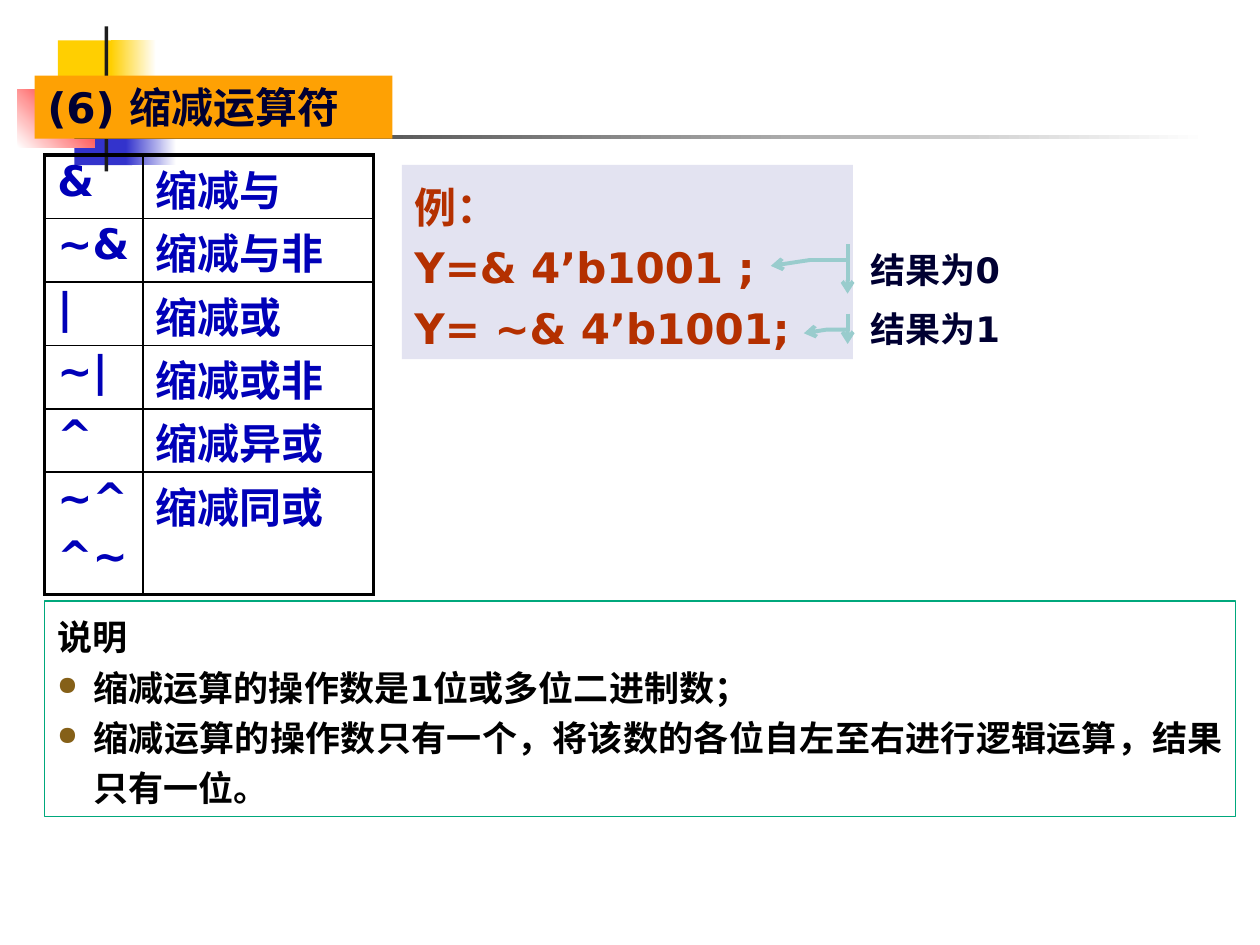
"""Build the slide on reduction operators."""
from lxml import etree
from pptx import Presentation
from pptx.dml.color import RGBColor
from pptx.enum.shapes import MSO_SHAPE
from pptx.enum.text import MSO_ANCHOR, MSO_AUTO_SIZE, PP_ALIGN
from pptx.oxml.ns import qn
from pptx.util import Inches, Pt

RECT, CALLOUT = MSO_SHAPE.RECTANGLE, MSO_SHAPE.LINE_CALLOUT_2_ACCENT_BAR
TOP, MIDDLE = MSO_ANCHOR.TOP, MSO_ANCHOR.MIDDLE
LEFT, JUSTIFY = PP_ALIGN.LEFT, PP_ALIGN.JUSTIFY
UNIT = Inches(0.1)
FACE = "DejaVu Sans"
DARK, BLUE, RUST, BLACK = "000032", "0000B8", "B43000", "000000"


def paint(color, text):
    """Set a colour object from a hex string."""
    color.rgb = RGBColor.from_string(text)


def place(kind, spot, fill=None, line=None, width=0.75):
    """Add a shape at a spot given in columns and rows of the grid."""
    shape = page.shapes.add_shape(kind, *[round(n * UNIT) for n in spot])
    shape.shadow.inherit = False
    shape.fill.background()
    shape.line.fill.background()
    if fill:
        shape.fill.solid()
        paint(shape.fill.fore_color, fill)
    if line:
        paint(shape.line.color, line)
        shape.line.width = Pt(width)
    return shape


deck = Presentation()
deck.slide_width, deck.slide_height = 100 * UNIT, 75 * UNIT
page = deck.slides.add_slide(deck.slide_layouts[5])

decor = [
    ((4.6, 3.2, 4.8, 5.2), ["FFCF01"], 0),
    ((8.8, 3.2, 3.6, 5.2), ["FFCF01", "FFFFFF"], 0),
    ((5.9, 7.9, 4.6, 5.2), ["3333CC"], 0),
    ((10, 7.9, 4, 5.2), ["3333CC", "FFFFFF"], 0),
    ((1.4, 7.1, 6.1, 4.6), ["FFFFFF", "FF0000"], 45),
    ((8.3, 2.1, 0.3, 11.5), ["1C1C1C"], 0),
    ((5.9, 10.7, 90, 0.3), ["1C1C1C", "FFFFFF"], 0),
]
for spot, tones, angle in decor:
    shape = place(RECT, spot, tones[0])
    if len(tones) > 1:
        shape.fill.gradient()
        shape.fill.gradient_angle = angle
        for stop, tone in zip(shape.fill.gradient_stops, tones):
            paint(stop.color, tone)

title = page.shapes.title
title.left, title.top, title.width, title.height = [
    round(n * UNIT) for n in (2.75, 6, 28.4, 5)]
title.fill.solid()
paint(title.fill.fore_color, "FEA104")
page.shapes.element.append(title.element)
texts = [(title.text_frame, ["(6) 缩减运算符"], 24, DARK, 1, 0, LEFT, MIDDLE)]

rows = [
    (["&"], "缩减与"), (["~&"], "缩减与非"), (["|"], "缩减或"),
    (["~|"], "缩减或非"), (["^"], "缩减异或"), (["~^", "^~"], "缩减同或"),
]
last = len(rows) - 1
spot = [round(n * UNIT) for n in (3.55, 12.3, 26.1, 34.7)]
table = page.shapes.add_table(len(rows), 2, *spot).table
table.first_row = table.horz_banding = False
table.columns[0].width = round(7.8 * UNIT)
table.columns[1].width = round(18.3 * UNIT)
for i, (signs, name) in enumerate(rows):
    table.rows[i].height = round((9.7 if i == last else 5) * UNIT)
    for j, lines in enumerate([signs, [name]]):
        cell = table.cell(i, j)
        cell.margin_top, cell.margin_bottom = Inches(0.02), 0
        props = cell._tc.get_or_add_tcPr()
        edges = {"lnL": j == 0, "lnR": j == 1, "lnT": i == 0, "lnB": i == last}
        for tag, outer in edges.items():
            edge = etree.SubElement(props, qn("a:" + tag), w=str(Pt(2.25 if outer else 1)))
            solid = etree.SubElement(edge, qn("a:solidFill"))
            etree.SubElement(solid, qn("a:srgbClr"), val=BLACK)
        cell.fill.background()
        texts.append((cell.text_frame, lines, 24, BLUE, 1, 4.8, LEFT, TOP))

sample = place(RECT, (31.9, 13.1, 35.8, 15.4), "E3E3F1")
lines = ["例：", "Y=& 4’b1001 ;", "Y= ~& 4’b1001;"]
texts.append((sample.text_frame, lines, 24, RUST, 1.2, 0, LEFT, TOP))

calls = [
    ("结果为0", (68.1, 19.4, 21.3, 3.9), (0.317, -0.039, 0.317, -0.18, 0.436, -0.325)),
    ("结果为1", (68.1, 24.9, 20.1, 2.4), (0.529, -0.041, 0.529, -0.126, 0.647, -0.214)),
]
for label, spot, bends in calls:
    call = place(CALLOUT, spot, line="99CCCD", width=2.25)
    for i, bend in enumerate(bends):
        call.adjustments[i] = bend
    etree.SubElement(call.line._get_or_add_ln(), qn("a:tailEnd"), type="arrow")
    texts.append((call.text_frame, [label], 20, DARK, 1, 0, LEFT, MIDDLE))

notes = place(RECT, (3.55, 47.7, 94.5, 17.1), line="00A87C")
lines = [
    "说明",
    "缩减运算的操作数是1位或多位二进制数；",
    "缩减运算的操作数只有一个，将该数的各位自左至右进行逻辑运算，结果只有一位。",
]
texts.append((notes.text_frame, lines, 20, BLACK, 1.2, 0, JUSTIFY, TOP))

for frame, lines, size, tone, lead, gap, side, anchor in texts:
    frame.text = "\n".join(lines)
    frame.word_wrap = True
    frame.auto_size = MSO_AUTO_SIZE.NONE
    frame.vertical_anchor = anchor
    for i, para in enumerate(frame.paragraphs):
        para.alignment = side
        para.line_spacing = lead
        para.space_before = Pt(gap if i else 0)
        if side == JUSTIFY:
            props = para._p.get_or_add_pPr()
            props.set("marL", str(Inches(0.29)))
            props.set("indent", str(-Inches(0.29)))
            if i:
                color = etree.SubElement(props, qn("a:buClr"))
                etree.SubElement(color, qn("a:srgbClr"), val="856018")
                etree.SubElement(props, qn("a:buSzPct"), val="75000")
                etree.SubElement(props, qn("a:buChar"), char="●")
        para.font.name = FACE
        para.font.size = Pt(size)
        para.font.bold = True
        paint(para.font.color, tone)

deck.save("out.pptx")
